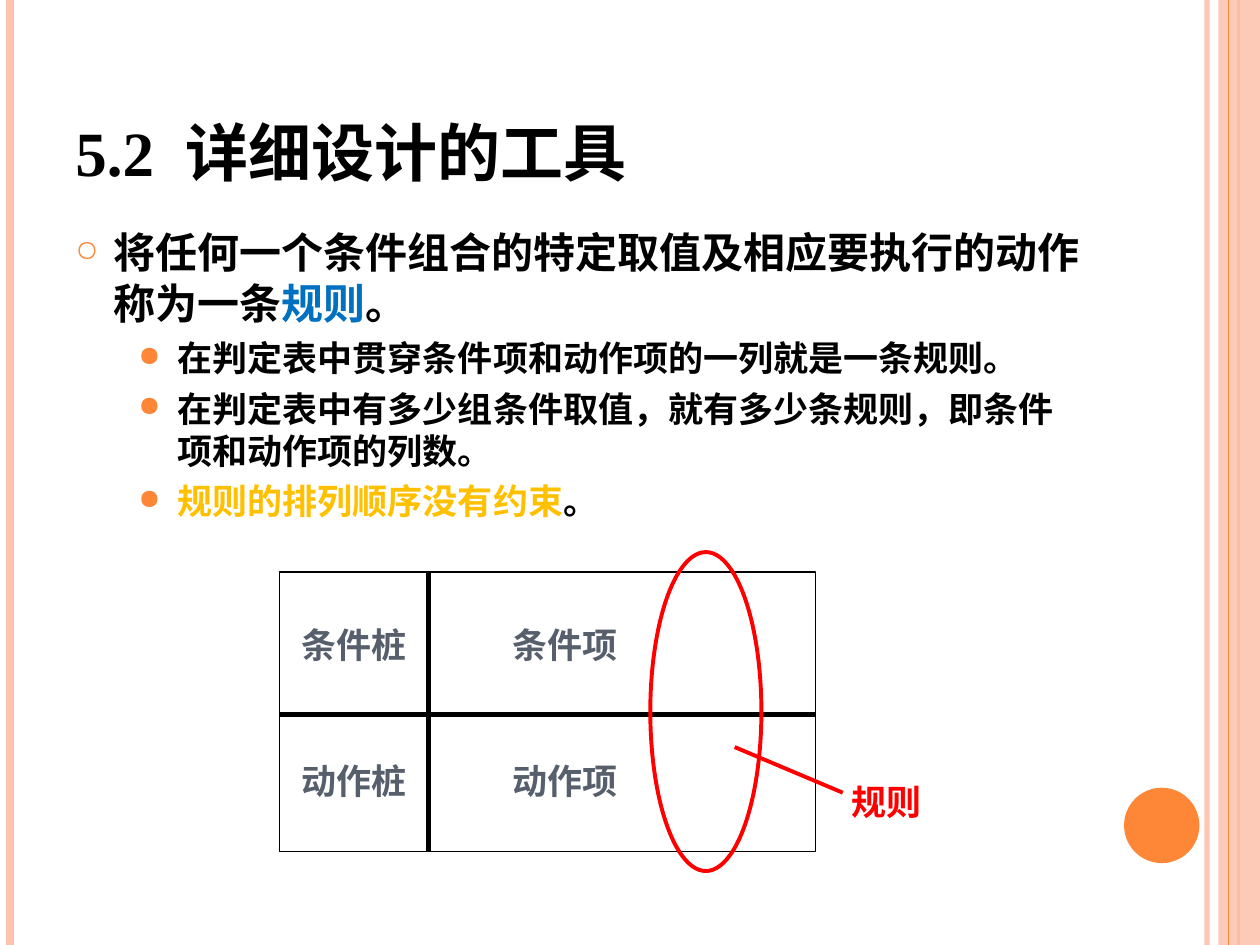
"""Build the slide on decision table rules in detailed design."""
from lxml.etree import SubElement
from pptx import Presentation
from pptx.dml.color import RGBColor
from pptx.enum.shapes import MSO_CONNECTOR as CONN, MSO_SHAPE as SHAPE
from pptx.enum.text import MSO_ANCHOR as ANCHOR, PP_ALIGN as ALIGN
from pptx.oxml.ns import qn
from pptx.util import Cm, Pt

FONT = "Times New Roman"
BLACK, GREY, RED = "000000", "575F6D", "FF0000"
BLUE, GOLD, ORANGE, PEACH = "0070C0", "FFC000", "FE8637", "FEC3AE"
WIDTH, HEIGHT = 25.4, 19.05

STRIPES_BACK = [(24.33, PEACH, 3, 93), (0.2, PEACH, 4.5, 100), (24.97, ORANGE, 1.5, 100)]
BAND = (24.56, 0, 0.84, HEIGHT)
STRIPE_FRONT = (24.77, ORANGE, 0.75, 100)
DOT = (22.66, 15.88, 1.52, 1.52)

TITLE_BOX = (1.27, 0.76, 20.75, 3.18)
TITLE = [("5.2", BLACK), (" ", BLACK), ("详细设计的工具", BLACK)]
BODY_BOX = (1.27, 4.45, 20.75, 13.54)
BODY = [
    (0, [("将任何一个条件组合的特定取值及相应要执行的动作称为一条", BLACK),
         ("规则", BLUE), ("。", BLACK)]),
    (1, [("在判定表中贯穿条件项和动作项的一列就是一条规则。", BLACK)]),
    (1, [("在判定表中有多少组条件取值，就有多少条规则，即条件项和动作项的列数。", BLACK)]),
    (1, [("规则的排列顺序没有约束", GOLD), ("。", BLACK)]),
]
LEVELS = [
    {"size": 24, "before": 6, "margin": 0.76, "hang": 0.76, "bullet": "○", "scale": 70},
    {"size": 20, "before": 5, "margin": 2.06, "hang": 0.79, "bullet": "●", "scale": 80},
]

TABLE = (5.64, 11.53, 10.8, 5.64)
SPLIT_X, SPLIT_Y = 8.64, 14.4
COLUMNS = [(5.49, 3.3, ["条件桩", "动作桩"]), (9.45, 3.71, [" 条件项", " 动作项"])]
ROW_TOPS = [12.45, 15.19]
LABEL_HEIGHT = 1.12
RULE_OVAL = (13.11, 11.13, 2.24, 6.43)
RULE_LINE = (14.81, 15.06, 16.99, 15.98)
RULE_LABEL = (16.84, 15.6, 2.06, LABEL_HEIGHT)


def rgb(color):
    return RGBColor.from_string(color)


def set_alpha(fill, percent):
    node = fill._xPr.find(qn("a:solidFill"))[0]
    SubElement(node, qn("a:alpha")).set("val", str(percent * 1000))


def add_line(shapes, ends, color, width, alpha=100):
    line = shapes.add_connector(CONN.STRAIGHT, *map(Cm, ends))
    line.line.color.rgb = rgb(color)
    line.line.width = Pt(width)
    SubElement(line._element.spPr, qn("a:effectLst"))
    if alpha < 100:
        set_alpha(line.line.fill, alpha)


def add_shape(shapes, kind, box, fill=None, line=None, width=1):
    sp = shapes.add_shape(kind, *map(Cm, box))
    sp.shadow.inherit = False
    if fill:
        sp.fill.solid()
        sp.fill.fore_color.rgb = rgb(fill)
    else:
        sp.fill.background()
    if line:
        sp.line.color.rgb = rgb(line)
        sp.line.width = Pt(width)
    else:
        sp.line.fill.background()
    return sp


def add_box(shapes, box):
    tf = shapes.add_textbox(*map(Cm, box)).text_frame
    tf.word_wrap = True
    return tf


def fill_paragraph(p, parts, size):
    for text, color in parts:
        r = p.add_run()
        r.text = text
        r.font.name, r.font.size, r.font.bold = FONT, Pt(size), True
        r.font.color.rgb = rgb(color)


def add_bullet(p, level):
    pPr = p._p.get_or_add_pPr()
    pPr.set("marL", str(Cm(level["margin"])))
    pPr.set("indent", str(-Cm(level["hang"])))
    SubElement(SubElement(pPr, qn("a:buClr")), qn("a:srgbClr")).set("val", ORANGE)
    SubElement(pPr, qn("a:buSzPct")).set("val", str(level["scale"] * 1000))
    SubElement(pPr, qn("a:buChar")).set("char", level["bullet"])


def add_label(shapes, box, text, color):
    p = add_box(shapes, box).paragraphs[0]
    p.alignment = ALIGN.CENTER
    p.space_before = Pt(12.5)
    fill_paragraph(p, [(text, color)], 20)


def add_stripe(shapes, x, color, width, alpha):
    add_line(shapes, (x, 0, x, HEIGHT), color, width, alpha)


def add_frame(shapes):
    for stripe in STRIPES_BACK:
        add_stripe(shapes, *stripe)
    set_alpha(add_shape(shapes, SHAPE.RECTANGLE, BAND, fill=PEACH).fill, 87)
    add_stripe(shapes, *STRIPE_FRONT)
    add_shape(shapes, SHAPE.OVAL, DOT, fill=ORANGE)


def add_text(shapes):
    tf = add_box(shapes, TITLE_BOX)
    tf.vertical_anchor = ANCHOR.BOTTOM
    p = tf.paragraphs[0]
    fill_paragraph(p, TITLE, 36)
    p.runs[1].font._element.set("spc", "900")

    tf = add_box(shapes, BODY_BOX)
    for i, (depth, parts) in enumerate(BODY):
        p = tf.add_paragraph() if i else tf.paragraphs[0]
        level = LEVELS[depth]
        p.level = depth
        p.space_before = Pt(level["before"])
        add_bullet(p, level)
        fill_paragraph(p, parts, level["size"])


def add_diagram(shapes):
    left, top, width, height = TABLE
    add_shape(shapes, SHAPE.RECTANGLE, TABLE, line=BLACK, width=0.75)
    add_line(shapes, (SPLIT_X, top, SPLIT_X, top + height), BLACK, 3)
    add_line(shapes, (left, SPLIT_Y, left + width, SPLIT_Y), BLACK, 3)
    for x, w, texts in COLUMNS:
        for y, text in zip(ROW_TOPS, texts):
            add_label(shapes, (x, y, w, LABEL_HEIGHT), text, GREY)
    add_shape(shapes, SHAPE.OVAL, RULE_OVAL, line=RED, width=2.25)
    add_line(shapes, RULE_LINE, RED, 2.25)
    add_label(shapes, RULE_LABEL, "规则", RED)


def main():
    prs = Presentation()
    prs.slide_width, prs.slide_height = Cm(WIDTH), Cm(HEIGHT)
    s = prs.slides.add_slide(prs.slide_layouts[6])
    add_frame(s.shapes)
    add_text(s.shapes)
    add_diagram(s.shapes.add_group_shape().shapes)
    prs.save("out.pptx")


if __name__ == "__main__":
    main()
